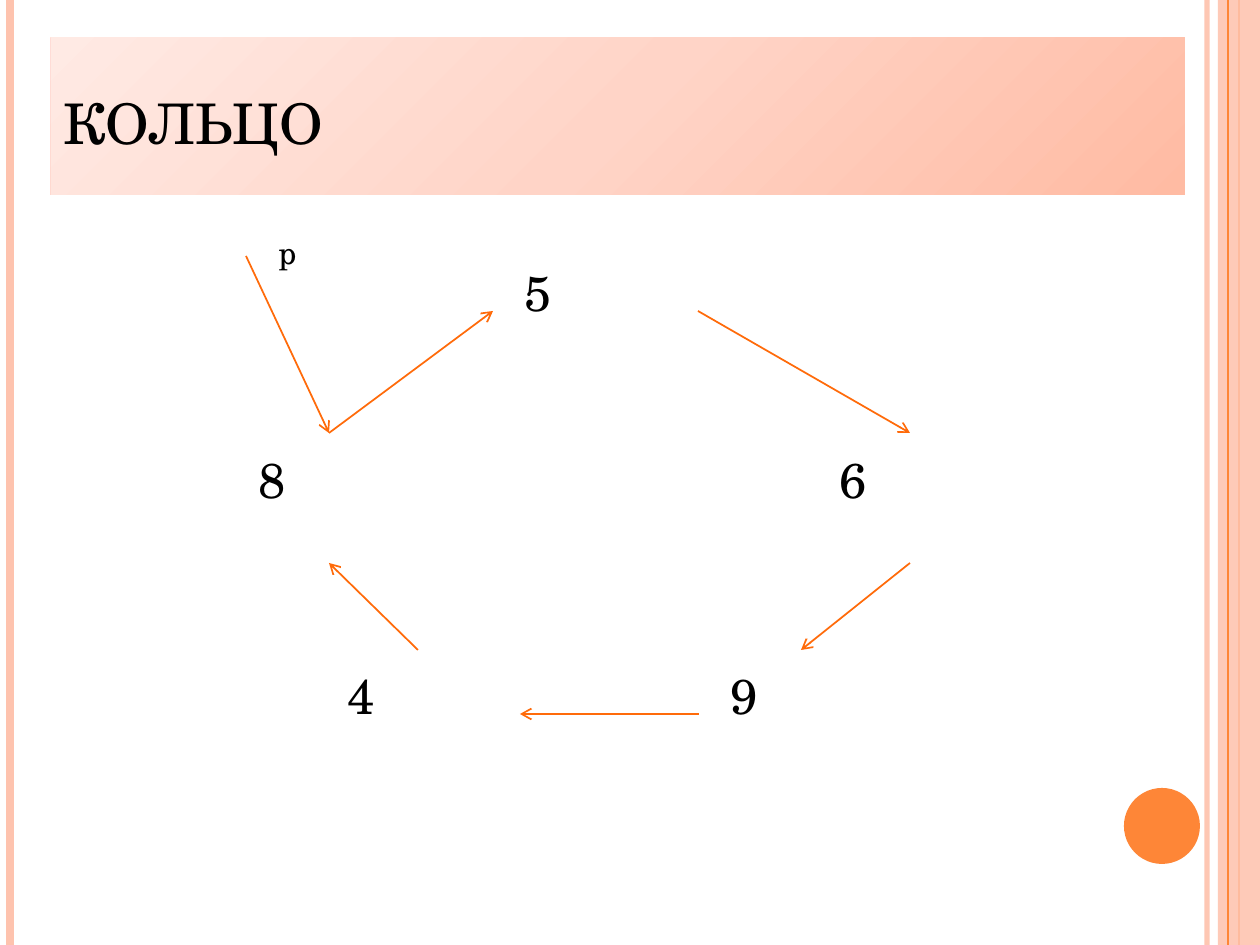
from copy import deepcopy

from pptx import Presentation
from pptx.dml.color import RGBColor
from pptx.enum.shapes import MSO_CONNECTOR, MSO_SHAPE
from pptx.enum.text import MSO_ANCHOR, MSO_AUTO_SIZE, PP_ALIGN
from pptx.oxml.ns import qn
from pptx.util import Pt
from lxml.etree import SubElement

PX = 914400 / 126
FONT = "TeX Gyre Schola"
BLACK = RGBColor(0x00, 0x00, 0x00)
ORANGE = RGBColor(0xFE, 0x86, 0x37)
ARROW_ORANGE = RGBColor(0xFF, 0x6B, 0x0A)
PEACH = RGBColor(0xFE, 0xC3, 0xAE)
GRADIENT = [
    (0, RGBColor(0xFF, 0xBB, 0xA3)),
    (0.5, RGBColor(0xFF, 0xD4, 0xC7)),
    (1, RGBColor(0xFF, 0xEA, 0xE4)),
]

presentation = Presentation()
presentation.slide_width = round(1260 * PX)
presentation.slide_height = round(945 * PX)
slide = presentation.slides.add_slide(presentation.slide_layouts[6])


def add_line(points, color, width):
    line = slide.shapes.add_connector(
        MSO_CONNECTOR.STRAIGHT, *[round(value * PX) for value in points])
    line.line.color.rgb = color
    line.line.width = Pt(width)
    SubElement(line._element.spPr, qn("a:effectLst"))
    return line


def add_block(kind, box, color=None):
    shape = slide.shapes.add_shape(kind, *[round(value * PX) for value in box])
    shape.shadow.inherit = False
    shape.line.fill.background()
    if color is not None:
        shape.fill.solid()
        shape.fill.fore_color.rgb = color
    return shape


# Side stripes and page number disc
outer_line = add_line((1207, 0, 1207, 945), PEACH, 3)
add_line((10, 0, 10, 945), PEACH, 4.5)
add_line((1239, 0, 1239, 945), ORANGE, 1.5)
band = add_block(MSO_SHAPE.RECTANGLE, (1218, 0, 42, 945), PEACH)
add_line((1228, 0, 1228, 945), ORANGE, 0.75)
add_block(MSO_SHAPE.OVAL, (1124, 788, 76, 76), ORANGE)

for shape, opacity in ((outer_line, 93), (band, 87)):
    color_element = next(shape._element.spPr.iter(qn("a:srgbClr")))
    SubElement(color_element, qn("a:alpha"), val=str(opacity * 1000))

# Title bar
title = add_block(MSO_SHAPE.RECTANGLE, (51, 38, 1134, 157))
title.fill.gradient()
title.fill.gradient_angle = 135
stop_list = next(title._element.spPr.iter(qn("a:gsLst")))
stop_list.append(deepcopy(stop_list[0]))
for stop, (position, color) in zip(title.fill.gradient_stops, GRADIENT):
    stop.position = position
    stop.color.rgb = color
title.text_frame.vertical_anchor = MSO_ANCHOR.MIDDLE
paragraph = title.text_frame.paragraphs[0]
paragraph.alignment = PP_ALIGN.LEFT
run = paragraph.add_run()
run.text = "кольцо"
run.font.name = FONT
run.font.size = Pt(40)
run.font.color.rgb = BLACK
run.font._element.set("cap", "small")

# Arrows of the ring, and the pointer into it
ARROWS = [
    (698, 311, 910, 433),
    (699, 714, 520, 714),
    (418, 650, 329, 563),
    (329, 433, 493, 311),
    (910, 563, 801, 650),
    (246, 256, 329, 433),
]
for points in ARROWS:
    arrow = add_line(points, ARROW_ORANGE, 1)
    SubElement(arrow.line._get_or_add_ln(), qn("a:tailEnd"), type="arrow")

# Values of the ring, and the pointer name
LABELS = [
    ("5", 512, 256, 53, 72, 28),
    ("6", 827, 443, 53, 72, 28),
    ("9", 718, 659, 53, 72, 28),
    ("4", 335, 659, 53, 72, 28),
    ("8", 246, 443, 53, 72, 28),
    ("p", 266, 227, 44, 50, 18),
]
for text, left, top, width, height, size in LABELS:
    label = slide.shapes.add_textbox(
        *[round(value * PX) for value in (left, top, width, height)])
    label.text_frame.word_wrap = False
    label.text_frame.auto_size = MSO_AUTO_SIZE.SHAPE_TO_FIT_TEXT
    run = label.text_frame.paragraphs[0].add_run()
    run.text = text
    run.font.name = FONT
    run.font.size = Pt(size)
    run.font.color.rgb = BLACK

presentation.save("out.pptx")
